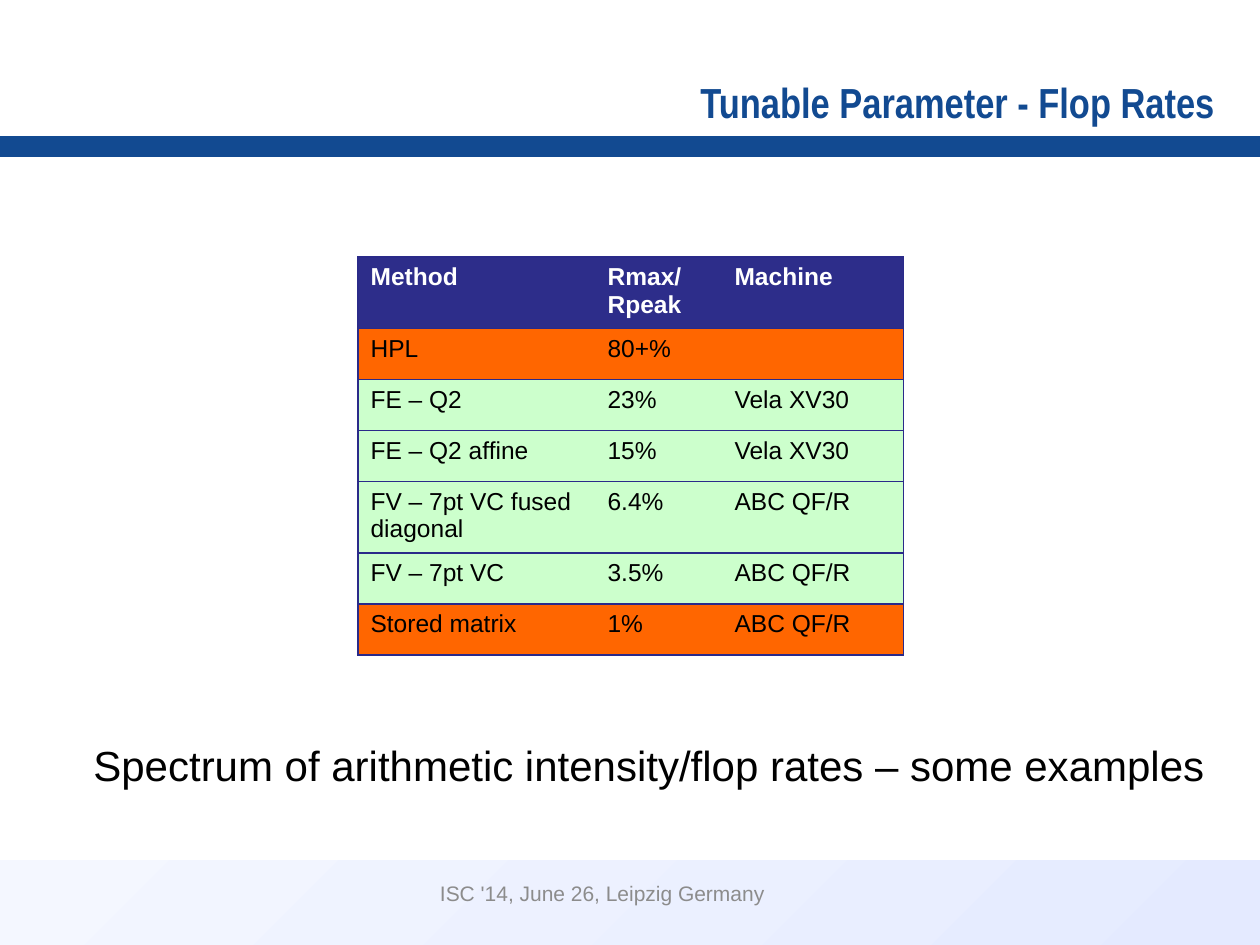
from lxml.etree import SubElement
from pptx import Presentation
from pptx.dml.color import RGBColor
from pptx.enum.shapes import MSO_SHAPE as Shape
from pptx.enum.text import MSO_ANCHOR as Anchor, PP_ALIGN as Align
from pptx.oxml.ns import qn
from pptx.util import Inches, Pt

PX_PER_INCH = 126

BLUE = RGBColor(0x12, 0x4A, 0x91)
NAVY = RGBColor(0x2D, 0x2D, 0x8A)
RULE = RGBColor(0x2A, 0x2A, 0x89)
ORANGE = RGBColor(0xFF, 0x66, 0x00)
GREEN = RGBColor(0xCC, 0xFF, 0xCC)
PALE = RGBColor(0xF4, 0xF7, 0xFF)
LAVENDER = RGBColor(0xE4, 0xEA, 0xFF)
GRAY = RGBColor(0x8C, 0x8C, 0x8C)
WHITE = RGBColor(0xFF, 0xFF, 0xFF)
BLACK = RGBColor(0, 0, 0)

COLUMN_WIDTHS = [237, 127, 182]
RATES = [
    (NAVY, 68, ["Method", "Rmax/Rpeak", "Machine"]),
    (ORANGE, 51, ["HPL", "80+%", ""]),
    (GREEN, 51, ["FE – Q2", "23%", "Vela XV30"]),
    (GREEN, 51, ["FE – Q2 affine", "15%", "Vela XV30"]),
    (GREEN, 68, ["FV – 7pt VC fused diagonal", "6.4%", "ABC QF/R"]),
    (GREEN, 51, ["FV – 7pt VC", "3.5%", "ABC QF/R"]),
    (ORANGE, 51, ["Stored matrix", "1%", "ABC QF/R"]),
]


def px(length):
    return Inches(length / PX_PER_INCH)


def box(*lengths):
    return [px(length) for length in lengths]


def style(paragraph, size, color, font="Arial", bold=False):
    for run in paragraph.runs:
        run.font.name = font
        run.font.size = Pt(size)
        run.font.bold = bold
        run.font.color.rgb = color


def add_bar(slide, left, top, width, height):
    bar = slide.shapes.add_shape(Shape.RECTANGLE, *box(left, top, width, height))
    bar.shadow.inherit = False
    bar.line.fill.background()
    return bar


def add_footer_band(slide):
    band = add_bar(slide, 0, 860, 1260, 96)
    band.fill.gradient()
    band.fill.gradient_angle = 315
    for stop, color in zip(band.fill.gradient_stops, (PALE, LAVENDER)):
        stop.color.rgb = color


def add_title_rule(slide):
    for left in (0, 630):
        half = add_bar(slide, left, 136, 630, 21)
        half.fill.solid()
        half.fill.fore_color.rgb = BLUE


def add_label(slide, place, text, size, color, align=Align.LEFT,
              anchor=Anchor.TOP, wrap=True, **font):
    label = slide.shapes.add_textbox(*box(*place))
    frame = label.text_frame
    frame.text = text
    frame.word_wrap = wrap
    frame.vertical_anchor = anchor
    frame.paragraphs[0].alignment = align
    style(frame.paragraphs[0], size, color, **font)
    return frame


def add_border(cell, sides):
    properties = cell._tc.get_or_add_tcPr()
    for position, side in enumerate(("L", "R", "T", "B")):
        line = properties.makeelement(qn(f"a:ln{side}"), {"w": str(Pt(0.75))})
        if side in sides:
            fill = SubElement(line, qn("a:solidFill"))
            SubElement(fill, qn("a:srgbClr"), val=str(RULE))
        else:
            SubElement(line, qn("a:noFill"))
        properties.insert(position, line)


def add_rate_table(slide):
    height = sum(row_height for _, row_height, _ in RATES)
    table = slide.shapes.add_table(
        len(RATES), len(COLUMN_WIDTHS),
        *box(358, 257, sum(COLUMN_WIDTHS), height)).table
    for column, width in zip(table.columns, COLUMN_WIDTHS):
        column.width = px(width)
    outer_sides = ["LTB", "TB", "RTB"]
    for row, (fill, row_height, values) in zip(table.rows, RATES):
        row.height = px(row_height)
        header = fill == NAVY
        for cell, value, sides in zip(row.cells, values, outer_sides):
            cell.text = value
            cell.fill.solid()
            cell.fill.fore_color.rgb = fill
            style(cell.text_frame.paragraphs[0], 14,
                  WHITE if header else BLACK, bold=header)
            add_border(cell, sides)


def main():
    deck = Presentation()
    deck.slide_width, deck.slide_height = box(1260, 945)
    slide = deck.slides.add_slide(deck.slide_layouts[6])
    add_footer_band(slide)
    add_title_rule(slide)
    title = add_label(slide, (484, 21, 743, 112), "Tunable Parameter - Flop Rates",
                      24, BLUE, Align.RIGHT, Anchor.BOTTOM,
                      font="Arial Narrow", bold=True)
    title.margin_left = 0
    add_label(slide, (358, 873, 489, 40), "ISC '14, June 26, Leipzig Germany",
              12, GRAY, Align.CENTER, Anchor.MIDDLE)
    add_rate_table(slide)
    add_label(slide, (81, 733, 1148, 63),
              "Spectrum of arithmetic intensity/flop rates – some examples",
              24, BLACK, wrap=False)
    deck.save("out.pptx")


if __name__ == "__main__":
    main()
